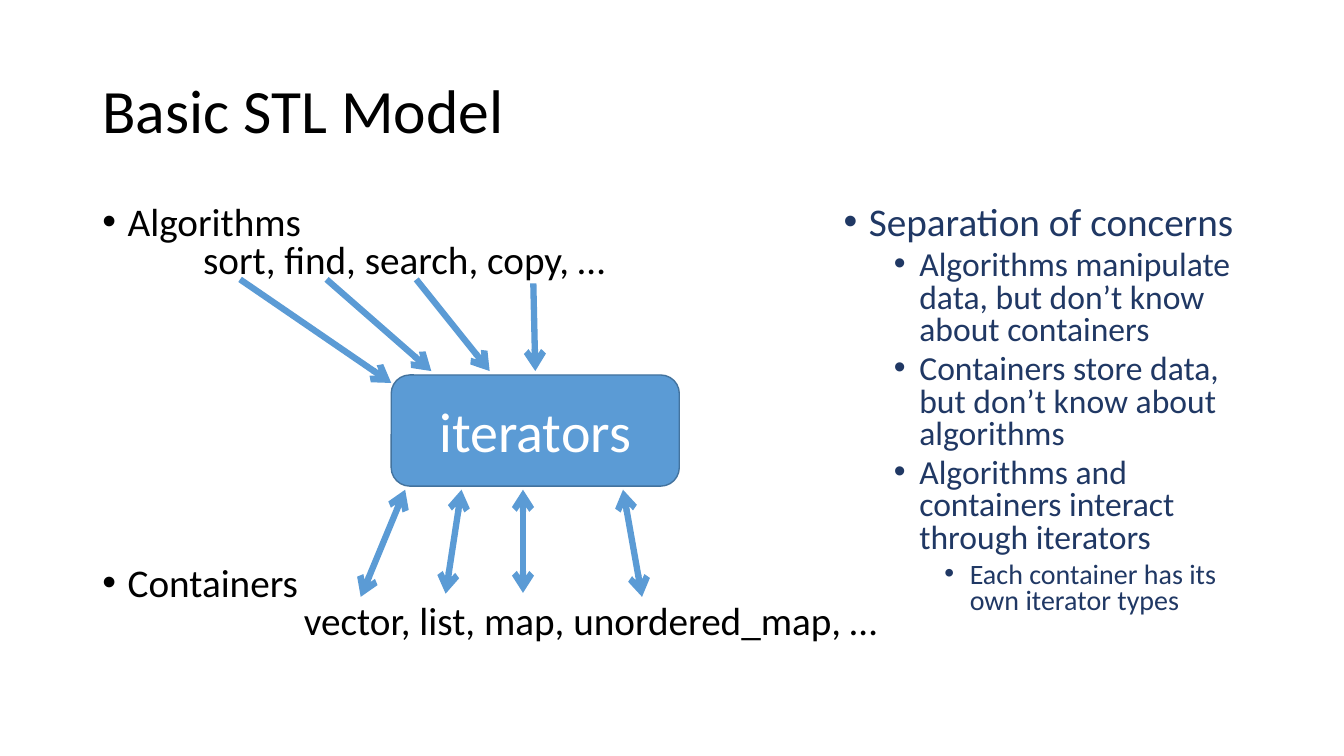
"""Build the slide on the basic STL model."""
from dataclasses import dataclass

from lxml import etree
from pptx import Presentation
from pptx.dml.color import RGBColor
from pptx.enum.shapes import MSO_CONNECTOR, MSO_SHAPE
from pptx.enum.text import MSO_ANCHOR, PP_ALIGN
from pptx.oxml.ns import qn
from pptx.util import Cm, Pt

LEFT, CENTER = PP_ALIGN.LEFT, PP_ALIGN.CENTER
TOP, MIDDLE = MSO_ANCHOR.TOP, MSO_ANCHOR.MIDDLE
ROUND, LINE = MSO_SHAPE.ROUNDED_RECTANGLE, MSO_CONNECTOR.STRAIGHT
TITLE_ONLY = 5


@dataclass
class Theme:
    font: str = "Calibri"
    black: str = "000000"
    white: str = "FFFFFF"
    navy: str = "203864"
    blue: str = "5B9BD5"
    edge: str = "43739E"
    title: int = 44
    label: int = 40
    levels: tuple = (28, 24, 20)


def rgb(code):
    return RGBColor.from_string(code)


def write(para, text, *, font, size, color, align=LEFT, space=1.0, before=0,
          indent=0, bullet=False):
    para.alignment = align
    para.line_spacing = space
    para.space_before = Pt(before)
    run = para.add_run()
    run.text = text
    run.font.name = font
    run.font.size = Pt(size)
    run.font.color.rgb = rgb(color)
    props = para._p.get_or_add_pPr()
    hang = Cm(0.64) if bullet else 0
    props.set("marL", str(Cm(indent) + hang))
    props.set("indent", str(-hang))
    if bullet:
        etree.SubElement(props, qn("a:buFont"), typeface="Arial")
        etree.SubElement(props, qn("a:buChar"), char="•")
    else:
        etree.SubElement(props, qn("a:buNone"))


class Board:
    def __init__(self, deck, theme):
        self.theme = theme
        self.slide = deck.slides.add_slide(deck.slide_layouts[TITLE_ONLY])

    def frame(self, shape, anchor):
        frame = shape.text_frame
        frame.word_wrap = True
        frame.vertical_anchor = anchor
        return frame

    def title(self, text, spot):
        shape = self.slide.shapes.title
        shape.left, shape.top, shape.width, shape.height = map(Cm, spot)
        para = self.frame(shape, MIDDLE).paragraphs[0]
        write(para, text, font=self.theme.font, size=self.theme.title,
              color=self.theme.black, space=0.9)

    def items(self, rows, spot, color):
        box = self.slide.shapes.add_textbox(*map(Cm, spot))
        frame = self.frame(box, TOP)
        for i, (text, level, form) in enumerate(rows):
            para = frame.add_paragraph() if i else frame.paragraphs[0]
            style = dict(before=5 if level else 10, indent=1.27 * level,
                         bullet=True) | form
            write(para, text, font=self.theme.font, color=color, space=0.8,
                  size=self.theme.levels[level], **style)

    def block(self, text, spot):
        shape = self.slide.shapes.add_shape(ROUND, *map(Cm, spot))
        shape.shadow.inherit = False
        shape.fill.solid()
        shape.fill.fore_color.rgb = rgb(self.theme.blue)
        shape.line.color.rgb = rgb(self.theme.edge)
        shape.line.width = Pt(1)
        para = self.frame(shape, MIDDLE).paragraphs[0]
        write(para, text, font=self.theme.font, size=self.theme.label,
              color=self.theme.white, align=CENTER)

    def arrow(self, start, end, both=False):
        line = self.slide.shapes.add_connector(LINE, *map(Cm, start + end))
        line.line.color.rgb = rgb(self.theme.blue)
        line.line.width = Pt(4.5)
        stroke = line.line._get_or_add_ln()
        for tag in ("a:headEnd", "a:tailEnd") if both else ("a:tailEnd",):
            etree.SubElement(stroke, qn(tag), type="arrow")
        etree.SubElement(line._element.spPr, qn("a:effectLst"))


def main():
    deck = Presentation()
    deck.slide_width, deck.slide_height = Cm(33.87), Cm(19.05)
    theme = Theme()
    board = Board(deck, theme)
    board.title("Basic STL Model", (2.33, 1.01, 29.21, 3.68))

    plain = dict(bullet=False, before=0)
    board.items([
        ("Algorithms", 0, {}),
        ("sort, find, search, copy, …", 0, plain | dict(indent=2.54)),
        ("Containers", 0, dict(before=204)),
        ("vector, list, map, unordered_map, …", 0, plain | dict(indent=5.08)),
    ], (2.33, 5.08, 28.45, 12.1), theme.black)
    board.items([
        ("Separation of concerns", 0, {}),
        ("Algorithms manipulate data, but don’t know about containers", 1, {}),
        ("Containers store data, but don’t know about algorithms", 1, {}),
        ("Algorithms and containers interact through iterators", 1, {}),
        ("Each container has its own iterator types", 2, {}),
    ], (21.01, 5.08, 10.52, 12.1), theme.navy)

    board.block("iterators", (9.86, 9.45, 7.26, 2.8))
    for start, end in [((6.05, 7.04), (9.86, 9.65)),
                       ((8.23, 7.04), (10.87, 9.35)),
                       ((10.49, 7.04), (12.34, 9.35)),
                       ((13.44, 7.14), (13.49, 9.35))]:
        board.arrow(start, end)
    for x, y, top in [(9.09, 15.04, 10.21), (11.23, 14.96, 11.63),
                      (13.18, 14.94, 13.18), (16.18, 15.04, 15.7)]:
        board.arrow((x, y), (top, 12.34), both=True)
    deck.save("out.pptx")


main()
